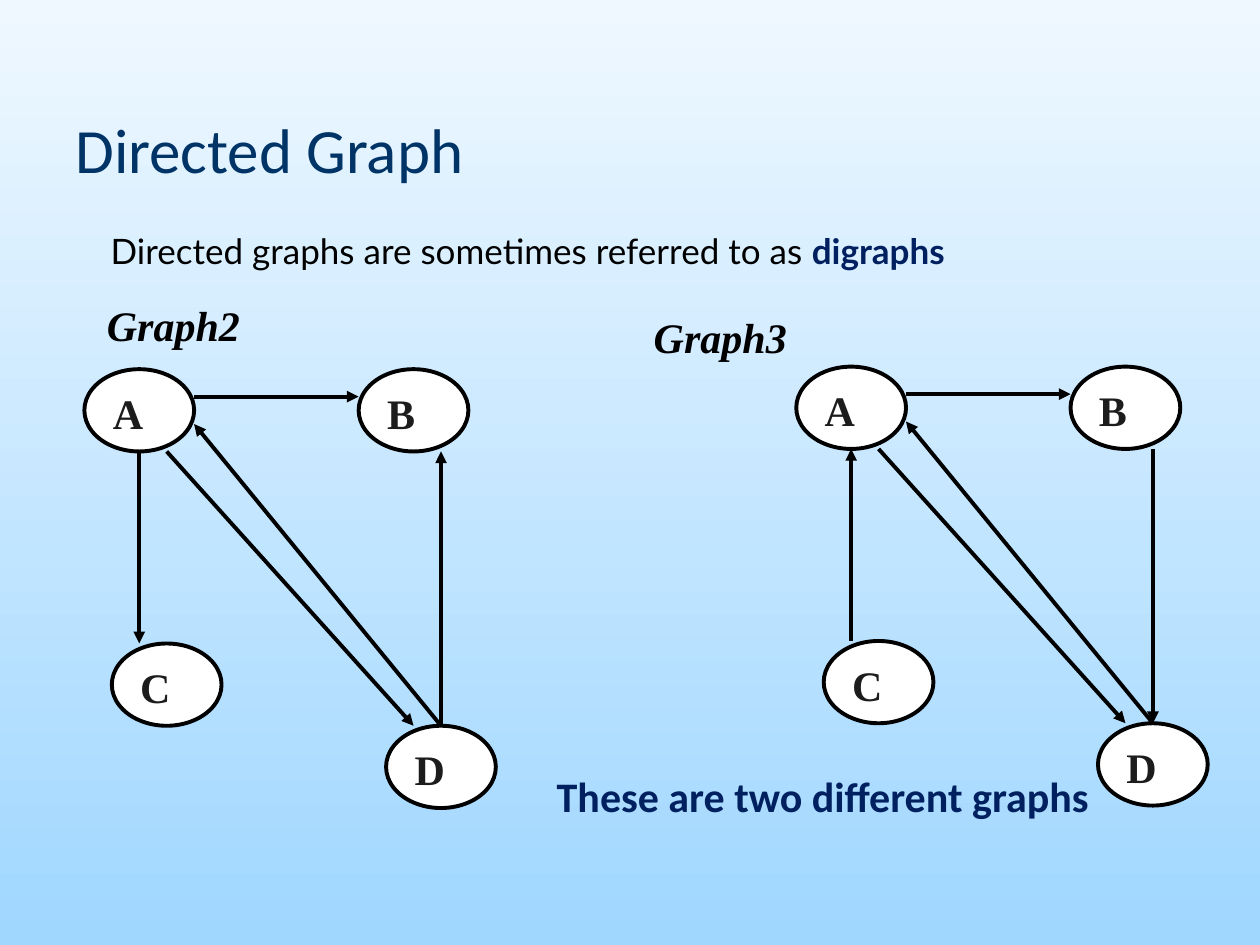
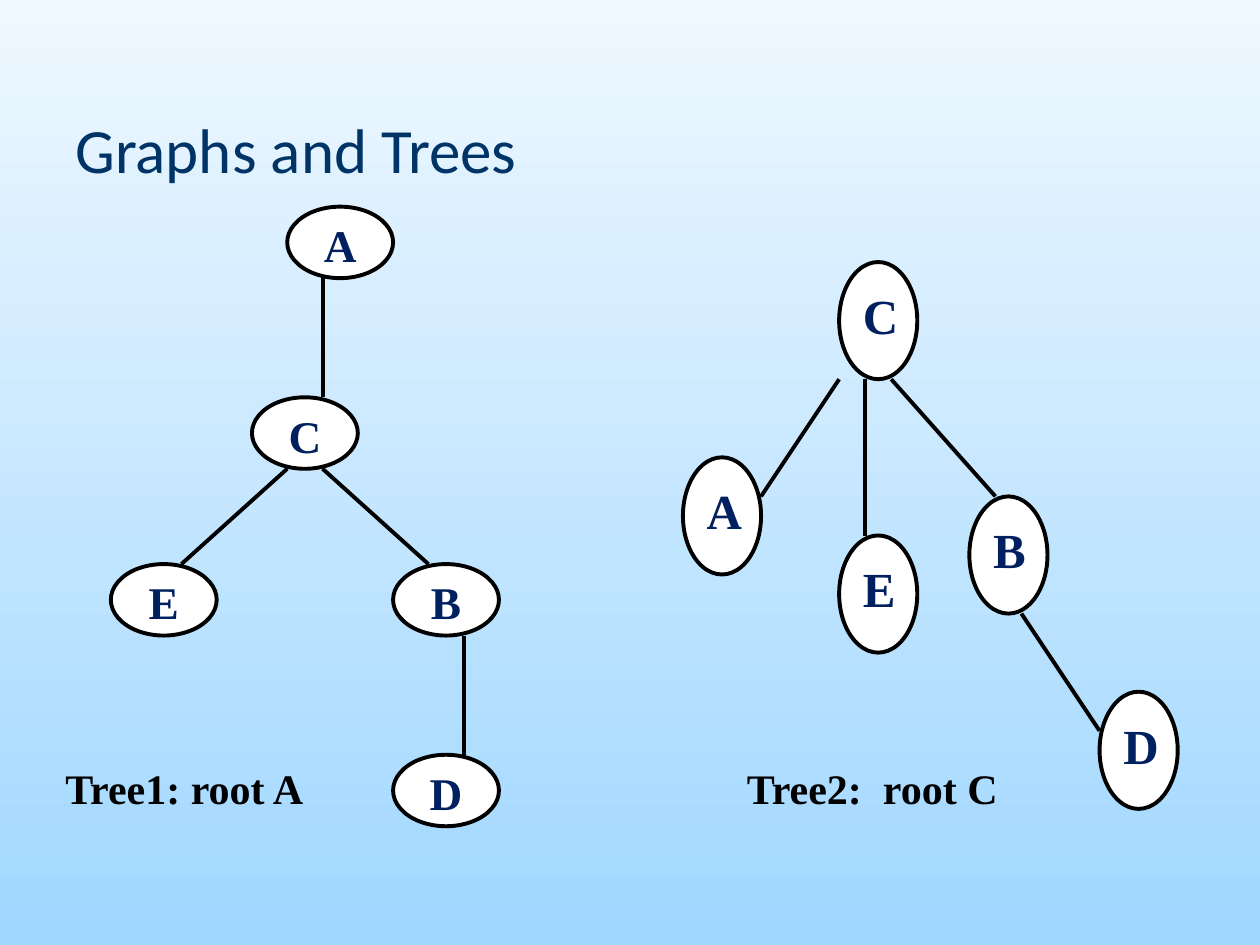
from pptx import Presentation
from pptx.dml.color import RGBColor
from pptx.enum.shapes import MSO_CONNECTOR as Line, MSO_SHAPE as Shape
from pptx.enum.text import MSO_ANCHOR as Anchor, MSO_AUTO_SIZE as Fit, PP_ALIGN as Align
from pptx.oxml.ns import qn
from pptx.util import Inches, Pt
from lxml.etree import SubElement

HUES = {"top": "EFF8FF", "base": "A0D7FF", "title": "003366", "navy": "002060",
        "ink": "1C1C1C", "black": "000000", "white": "FFFFFF"}
SERIF = "Times New Roman"


def hue(name):
    return RGBColor.from_string(HUES[name])


def style(font, size, face, color, bold=False, italic=False):
    font.size, font.name = Pt(size), face
    font.bold, font.italic = bold, italic
    font.color.rgb = hue(color)


def label(slide, box, text, size=24, face=SERIF, color="black",
          bold=True, italic=False, wrap=True):
    part = slide.shapes.add_textbox(*map(Inches, box))
    frame = part.text_frame
    frame.word_wrap = wrap
    frame.auto_size = Fit.SHAPE_TO_FIT_TEXT
    para = frame.paragraphs[0]
    para.text = text
    style(para.font, size, face, color, bold, italic)
    return frame


# Gradient background and title, shared by both slides
def page(deck, title):
    slide = deck.slides.add_slide(deck.slide_layouts[6])
    fill = slide.background.fill
    fill.gradient()
    fill.gradient_angle = 270
    for stop, name, place in zip(fill.gradient_stops, ("top", "base"), (0, 1)):
        stop.color.rgb, stop.position = hue(name), place
    frame = label(slide, (0.5, 0.8, 9, 0.75), title, 36, "Calibri", "title", False)
    frame.auto_size = Fit.NONE
    frame.vertical_anchor = Anchor.MIDDLE
    return slide


def node(group, box, text, size, color, center=False):
    oval = group.shapes.add_shape(Shape.OVAL, *map(Inches, box))
    oval.shadow.inherit = False
    oval.fill.solid()
    oval.fill.fore_color.rgb = hue("white")
    oval.line.color.rgb, oval.line.width = hue("black"), Pt(2.25)
    oval.text_frame.vertical_anchor = Anchor.TOP
    para = oval.text_frame.paragraphs[0]
    para.text = text
    para.alignment = Align.CENTER if center else Align.LEFT
    if center:
        para.line_spacing = 0.9
    style(para.font, size, SERIF, color, True)


def edge(group, ends, arrow):
    line = group.shapes.add_connector(Line.STRAIGHT, *map(Inches, ends))
    line.line.color.rgb, line.line.width = hue("black"), Pt(2.25)
    props = line._element.spPr
    if arrow:
        SubElement(props.find(qn("a:ln")), qn("a:tailEnd"), type="triangle")
    SubElement(props, qn("a:effectLst"))


# Nodes and edges on a grid: left and top in inches, the rest in grid steps
def graph(slide, left, top, step, span, nodes, edges, arrow=False, **look):
    group = slide.shapes.add_group_shape()
    (dx, dy), (wide, high) = step, span
    for name, (col, row) in nodes.items():
        box = (left + col * dx, top + row * dy, wide * dx, high * dy)
        node(group, box, name, **look)
    for x1, y1, x2, y2 in edges:
        ends = (left + x1 * dx, top + y1 * dy, left + x2 * dx, top + y2 * dy)
        edge(group, ends, arrow)


# Directed graph: four nodes, edges differ per graph
def digraph(slide, left, top, edges):
    unit = 2.83 / 13
    nodes = {"A": (0, 0), "B": (10, 0), "C": (1, 10), "D": (11, 13)}
    both = [(4, 1, 10, 1), (3, 3, 12, 13), (13, 13, 4, 2)]
    graph(slide, left, top, (unit, unit), (4, 3), nodes, both + edges,
          arrow=True, size=24, color="ink")


def directed(deck):
    slide = page(deck, "Directed Graph")
    label(slide, (0.75, 2.33, 1.5, 0.5), "Graph2", italic=True)
    label(slide, (5.09, 2.42, 1.34, 0.5), "Graph3", italic=True, wrap=False)
    digraph(slide, 0.67, 2.93, [(2, 3, 2, 10), (13, 13, 13, 3)])
    digraph(slide, 6.32, 2.91, [(2, 10, 2, 3), (13, 3, 13, 13)])
    label(slide, (4.32, 6.07, 6.17, 0.5), "These are two different graphs",
          face="Calibri", color="navy")
    # Lead sentence with its bold term
    frame = label(slide, (0.78, 1.77, 7.94, 0.44),
                  "Directed graphs are sometimes referred to as ",
                  20, "Lato", bold=False)
    term = frame.paragraphs[0].add_run()
    term.text = "digraphs"
    style(term.font, 20, "Lato", "navy", True)


def trees(deck):
    slide = page(deck, "Graphs and Trees")
    # Tree rooted at A
    graph(slide, 0.88, 1.64, (0.14, 4.35 / 23), (6, 3),
          {"A": (10, 0), "C": (8, 8), "E": (0, 15), "B": (16, 15), "D": (16, 23)},
          [(12, 3, 12, 8), (10, 11, 4, 15), (12, 11, 18, 15), (20, 18, 20, 23)],
          size=25.9, color="navy", center=True)
    # Tree rooted at C
    graph(slide, 5.42, 2.08, (0.62 / 6, 0.31), (6, 3),
          {"C": (12, 0), "A": (0, 5), "E": (12, 7), "B": (22, 6), "D": (32, 11)},
          [(12, 3, 6, 6), (14, 3, 14, 7), (16, 3, 24, 6), (26, 9, 32, 12)],
          size=28, color="navy")
    for left, text in ((0.42, "Tree1: root A"), (5.83, "Tree2:  root C")):
        label(slide, (left, 6, 2.25, 0.5), text)


def main():
    deck = Presentation()
    deck.slide_width, deck.slide_height = Inches(10), Inches(7.5)
    directed(deck)
    trees(deck)
    deck.save("out.pptx")


if __name__ == "__main__":
    main()
